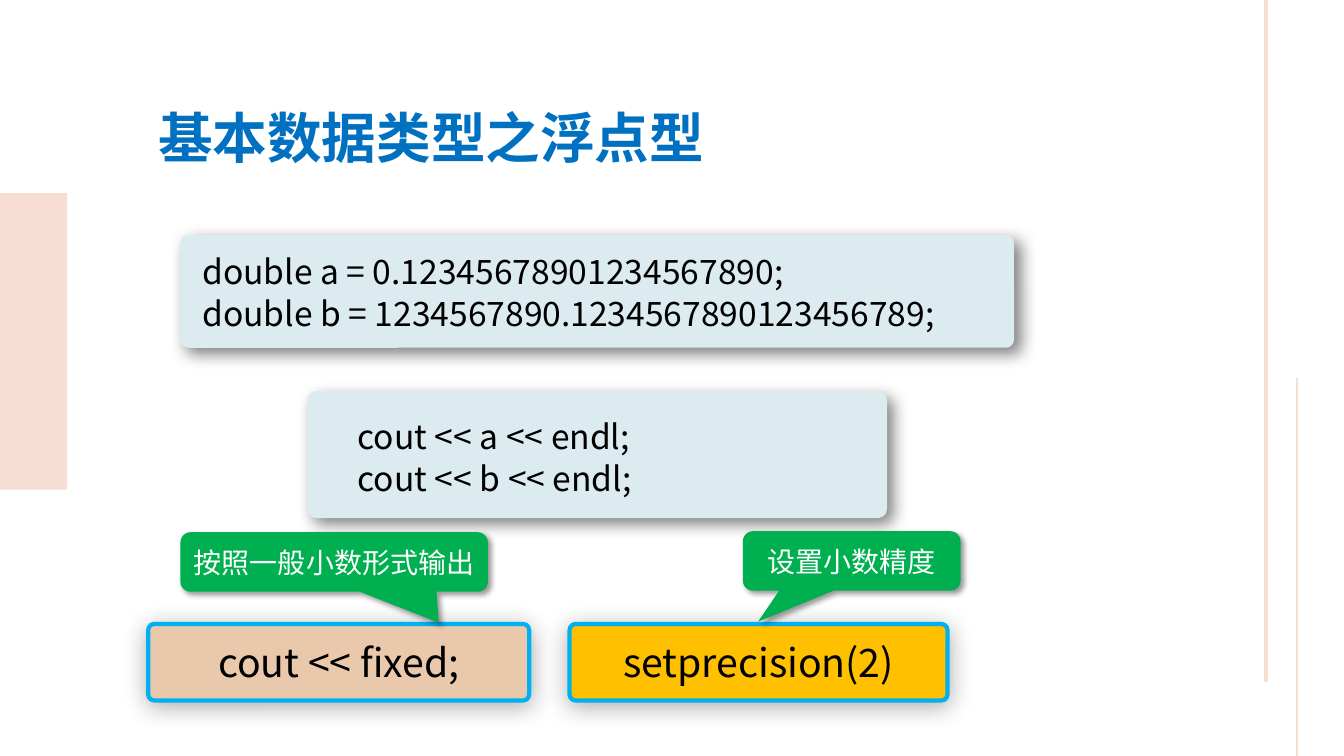
from lxml import etree
from pptx import Presentation
from pptx.dml.color import RGBColor
from pptx.enum.shapes import MSO_CONNECTOR as Connector, MSO_SHAPE as Shape
from pptx.enum.text import MSO_ANCHOR as Anchor, PP_ALIGN as Align
from pptx.oxml.ns import qn
from pptx.util import Inches, Pt

COLORS = {
    "blush": "F6DED4", "title": "0070C0", "panel": "DCEBEF", "tan": "E9C8AB",
    "amber": "FFC000", "border": "00B0F0", "green": "00B050",
    "black": "000000", "white": "FFFFFF",
}
FONT = "Noto Sans CJK SC"
# Opacity in percent, blur and distance in points, direction in degrees
PANEL_SHADOW = (50, 12, 6, 45)
BOX_SHADOW = (33, 17.8, 3, 87)
CALLOUT_SHADOW = (40, 4, 3, 45)


def color(name):
    return RGBColor.from_string(COLORS[name])


def write_text(shape, text, size=24, ink="black", bold=False, align=Align.LEFT,
               anchor=Anchor.TOP, leading=None, wrap=True):
    """Fill a shape with one paragraph per line of text."""
    frame = shape.text_frame
    frame.word_wrap = wrap
    frame.vertical_anchor = anchor
    frame.text = text
    for paragraph in frame.paragraphs:
        paragraph.alignment = align
        if leading:
            paragraph.line_spacing = Pt(leading)
        for run in paragraph.runs:
            font = run.font
            font.size, font.bold, font.name = Pt(size), bold, FONT
            font.color.rgb = color(ink)
            etree.SubElement(run._r.rPr, qn("a:ea"), typeface=FONT)


class SlideBuilder:
    """Draws on a grid of 160 columns by 90 rows, each 1/12 inch."""

    def __init__(self, presentation):
        presentation.slide_width = self.grid(160)
        presentation.slide_height = self.grid(90)
        self.slide = presentation.slides.add_slide(presentation.slide_layouts[6])

    @staticmethod
    def grid(units):
        return Inches(units / 12)

    def shape(self, kind, place, fill, border=None, shadow=None, adjustments=()):
        shape = self.slide.shapes.add_shape(kind, *map(self.grid, place))
        for index, value in enumerate(adjustments):
            shape.adjustments[index] = value
        shape.fill.solid()
        shape.fill.fore_color.rgb = color(fill)
        if border:
            shape.line.color.rgb = color(border)
            shape.line.width = Pt(3)
        else:
            shape.line.fill.background()
        shape.shadow.inherit = False
        if shadow:
            self.cast_shadow(shape, *shadow)
        return shape

    @staticmethod
    def cast_shadow(shape, opacity, blur, distance, direction):
        effects = shape._element.spPr.find(qn("a:effectLst"))
        outer = etree.SubElement(
            effects, qn("a:outerShdw"), blurRad=str(Pt(blur)), dist=str(Pt(distance)),
            dir=str(direction * 60000), algn="ctr", rotWithShape="0")
        tint = etree.SubElement(outer, qn("a:srgbClr"), val=COLORS["black"])
        etree.SubElement(tint, qn("a:alpha"), val=str(opacity * 1000))

    def vertical_line(self, column, top, bottom, width):
        x = self.grid(column)
        line = self.slide.shapes.add_connector(
            Connector.STRAIGHT, x, self.grid(top), x, self.grid(bottom))
        line.line.color.rgb = color("blush")
        line.line.width = Pt(width)
        etree.SubElement(line._element.spPr, qn("a:effectLst"))

    def text(self, place, text, **style):
        write_text(self.slide.shapes.add_textbox(*map(self.grid, place)), text, **style)

    def code_panel(self, panel, text_place, code):
        self.shape(Shape.ROUNDED_RECTANGLE, panel, "panel",
                   shadow=PANEL_SHADOW, adjustments=[0.07])
        self.text(text_place, code, leading=30)

    def statement(self, left, width, fill, code):
        box = self.shape(Shape.ROUNDED_RECTANGLE, (left, 74.28, width, 9.12), fill,
                         "border", BOX_SHADOW, [0.08])
        write_text(box, code, size=28, align=Align.CENTER, anchor=Anchor.MIDDLE)

    def callout(self, left, top, width, pointer, text):
        bubble = self.shape(Shape.ROUNDED_RECTANGULAR_CALLOUT, (left, top, width, 7.08),
                            "green", shadow=CALLOUT_SHADOW,
                            adjustments=[pointer, 1.02, 0.17])
        write_text(bubble, text, size=20, ink="white", align=Align.CENTER,
                   anchor=Anchor.MIDDLE, wrap=False)


def main():
    presentation = Presentation()
    builder = SlideBuilder(presentation)

    builder.shape(Shape.RECTANGLE, (0, 23, 8, 35.3), "blush")
    builder.vertical_line(150.72, 0, 81.24, 2.25)
    builder.vertical_line(154.44, 45, 90, 1.5)
    builder.text((17.64, 11.76, 69, 9.12), "基本数据类型之浮点型",
                 size=39, ink="title", bold=True)

    builder.code_panel(
        (21.48, 27.96, 99.24, 13.44), (22.92, 29.04, 94.44, 11.28),
        "double a = 0.12345678901234567890;\n"
        "double b = 1234567890.1234567890123456789;")
    builder.code_panel(
        (36.6, 46.56, 69, 15.12), (41.4, 48.72, 41.4, 11.28),
        "cout << a << endl;\ncout << b << endl;")

    builder.statement(17.64, 45.36, "tan", "cout << fixed;")
    builder.statement(67.8, 45, "amber", "setprecision(2)")
    builder.callout(21.48, 63.36, 36.6, 0.34, "按照一般小数形式输出")
    builder.callout(88.44, 63.24, 25.92, -0.43, "设置小数精度")

    presentation.save("out.pptx")


if __name__ == "__main__":
    main()
